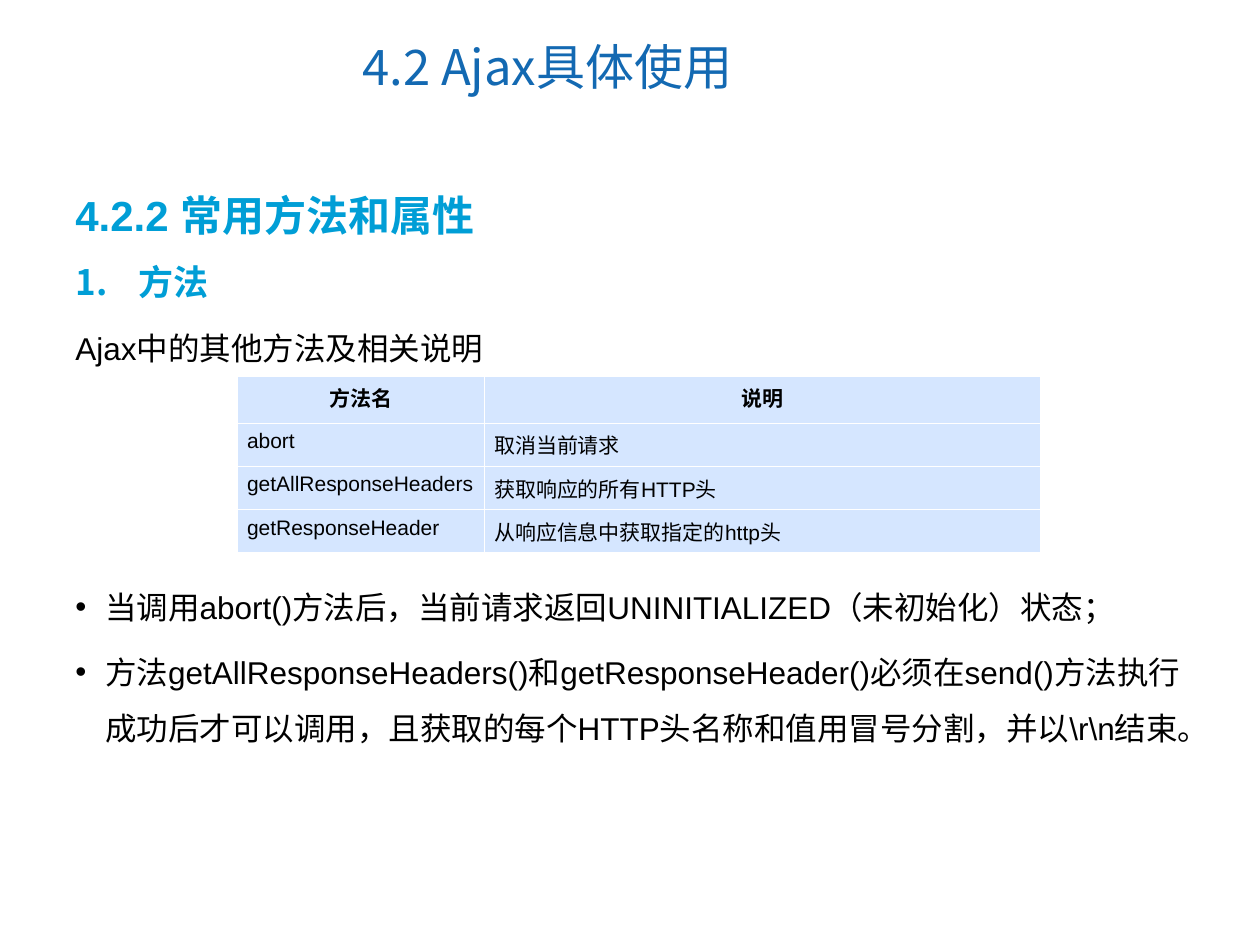
from lxml.etree import SubElement
from pptx import Presentation
from pptx.dml.color import RGBColor
from pptx.enum.text import MSO_ANCHOR, PP_ALIGN as Align
from pptx.oxml.ns import qn
from pptx.util import Cm, Pt

TITLE_BLUE = RGBColor(0x13, 0x69, 0xB2)
HEADING_BLUE = RGBColor(0x00, 0x9E, 0xD6)
CELL_BLUE = RGBColor(0xD5, 0xE6, 0xFF)
BLACK = RGBColor(0, 0, 0)
WHITE = RGBColor(0xFF, 0xFF, 0xFF)


class SlideWriter:
    latin = "Arial"
    asian = "Noto Sans CJK SC"

    def __init__(self, page):
        self.page = page

    def span(self, para, text, size, color=BLACK, bold=False, font=None):
        span = para.add_run()
        span.text = text
        span.font.size = Pt(size)
        span.font.bold = bold
        span.font.color.rgb = color
        span.font.name = font or self.latin
        SubElement(span.font._element, qn("a:ea"), typeface=self.asian)

    def title(self, text, left, top, width, height):
        box = self.page.shapes.title
        box.left, box.top, box.width, box.height = map(Cm, (left, top, width, height))
        box.text_frame.vertical_anchor = MSO_ANCHOR.MIDDLE
        para = box.text_frame.paragraphs[0]
        para.alignment = Align.CENTER
        self.span(para, text, 28, TITLE_BLUE, font=self.asian)

    def marker(self, para, kind, indent, color, font, **attributes):
        properties = para._p.get_or_add_pPr()
        properties.set("marL", str(Cm(indent)))
        properties.set("indent", str(-Cm(indent)))
        paint = SubElement(properties, qn("a:buClr"))
        SubElement(paint, qn("a:srgbClr"), val=str(color))
        SubElement(properties, qn("a:buFont"), typeface=font)
        SubElement(properties, qn(kind), **attributes)

    def body(self, items, left, top, width, height):
        box = self.page.shapes.add_textbox(*map(Cm, (left, top, width, height)))
        frame = box.text_frame
        frame.word_wrap = True
        for index, (text, size, color, bold, before, mark) in enumerate(items):
            para = frame.add_paragraph() if index else frame.paragraphs[0]
            para.line_spacing = 1.5
            para.space_before = Pt(before)
            if mark == "number":
                self.marker(para, "a:buAutoNum", 1.27, color, self.asian, type="arabicPeriod")
            elif mark == "bullet":
                self.marker(para, "a:buChar", 0.6, color, self.latin, char="•")
            self.span(para, text, size, color, bold)

    def border(self, cell):
        properties = cell._tc.get_or_add_tcPr()
        for side in ("a:lnL", "a:lnR", "a:lnT", "a:lnB"):
            line = SubElement(properties, qn(side), w=str(Pt(0.45)))
            fill = SubElement(line, qn("a:solidFill"))
            SubElement(fill, qn("a:srgbClr"), val=str(WHITE))

    def table(self, rows, left, top, widths, heights):
        frame = self.page.shapes.add_table(
            len(rows), len(widths), Cm(left), Cm(top), Cm(sum(widths)), Cm(sum(heights)))
        table = frame.table
        for column, width in zip(table.columns, widths):
            column.width = Cm(width)
        for row, height in zip(table.rows, heights):
            row.height = Cm(height)
        for r, texts in enumerate(rows):
            for c, text in enumerate(texts):
                cell = table.cell(r, c)
                cell.margin_left = cell.margin_right = Cm(0.2)
                cell.margin_top = cell.margin_bottom = Cm(0.13)
                self.border(cell)
                cell.fill.solid()
                cell.fill.fore_color.rgb = CELL_BLUE
                para = cell.text_frame.paragraphs[0]
                column_align = Align.LEFT if c else Align.JUSTIFY
                para.alignment = column_align if r else Align.CENTER
                self.span(para, text, 12, bold=r == 0)


def main():
    deck = Presentation()
    deck.slide_width, deck.slide_height = Cm(25.4), Cm(19.05)
    writer = SlideWriter(deck.slides.add_slide(deck.slide_layouts[5]))

    writer.title("4.2 Ajax具体使用", 0.25, 0.33, 21.56, 2)
    writer.body([
        ("4.2.2 常用方法和属性", 24, HEADING_BLUE, True, 0, None),
        ("方法", 20, HEADING_BLUE, True, 0, "number"),
        ("Ajax中的其他方法及相关说明", 18, BLACK, False, 4.5, None),
        ("当调用abort()方法后，当前请求返回UNINITIALIZED（未初始化）状态；",
         18, BLACK, False, 115.5, "bullet"),
        ("方法getAllResponseHeaders()和getResponseHeader()必须在send()方法执行成功后才可以调用，"
         "且获取的每个HTTP头名称和值用冒号分割，并以\\r\\n结束。",
         18, BLACK, False, 4.5, "bullet"),
    ], 1.27, 3.18, 23, 14.65)
    writer.table([
        ("方法名", "说明"),
        ("abort", "取消当前请求"),
        ("getAllResponseHeaders", "获取响应的所有HTTP头"),
        ("getResponseHeader", "从响应信息中获取指定的http头"),
    ], 4.78, 7.58, (4.98, 11.22), (0.95, 0.87, 0.87, 0.87))
    deck.save("out.pptx")


if __name__ == "__main__":
    main()
